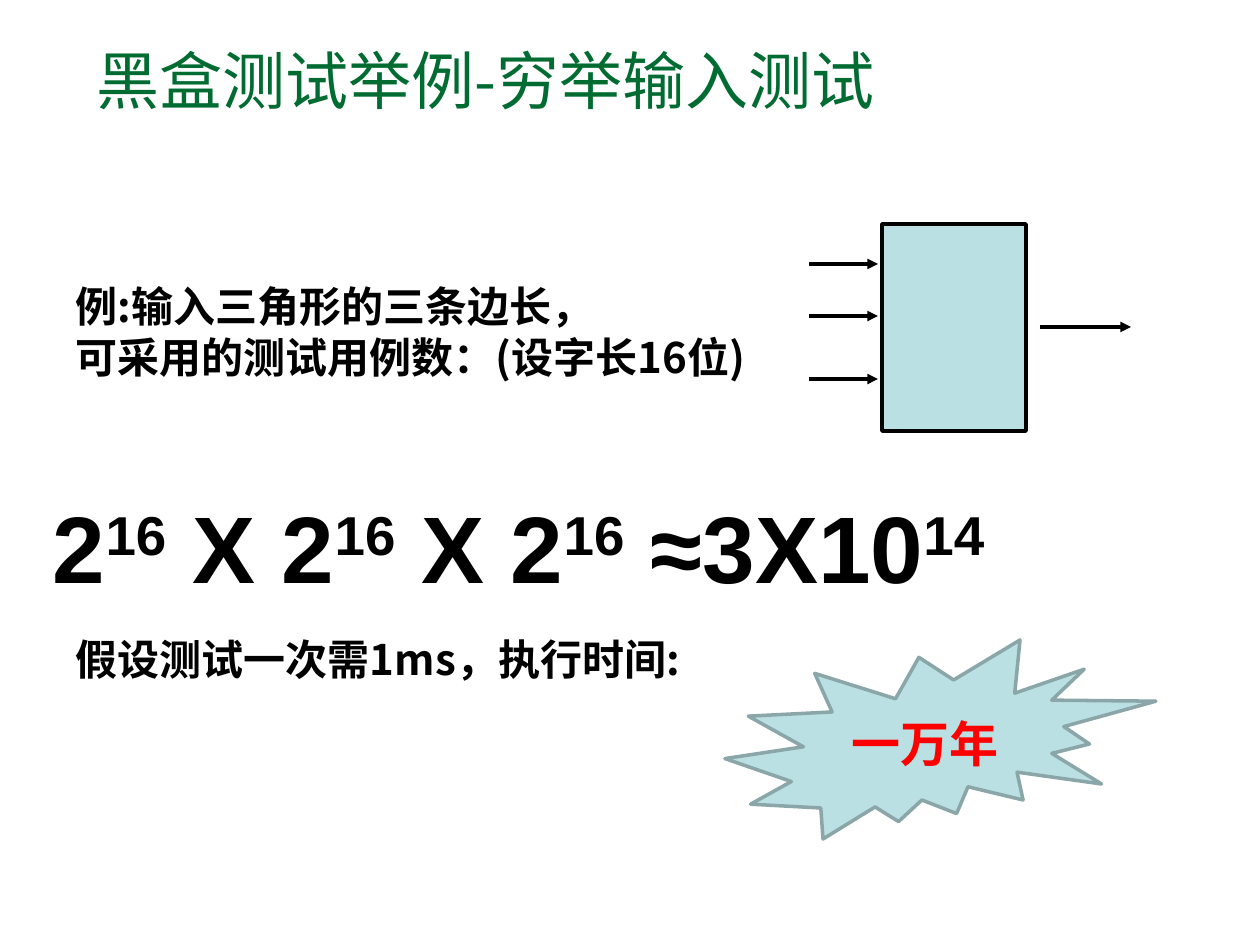
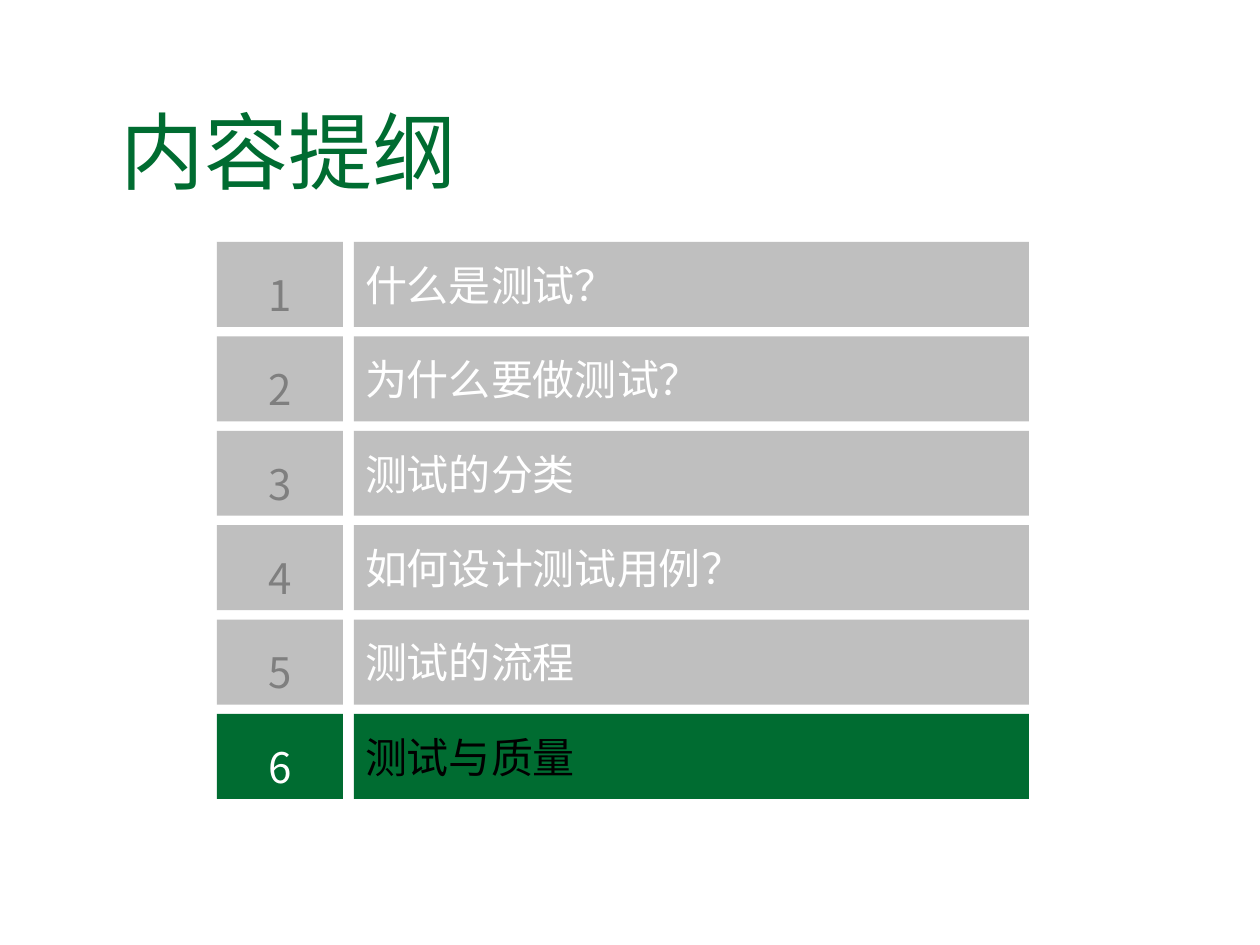
from lxml import etree
from pptx import Presentation
from pptx.dml.color import RGBColor
from pptx.enum.shapes import MSO_CONNECTOR, MSO_SHAPE
from pptx.enum.text import MSO_ANCHOR, PP_ALIGN
from pptx.oxml.ns import qn
from pptx.util import Emu, Pt

RECTANGLE, BURST = MSO_SHAPE.RECTANGLE, MSO_SHAPE.EXPLOSION2
STRAIGHT = MSO_CONNECTOR.STRAIGHT
TOP, MIDDLE = MSO_ANCHOR.TOP, MSO_ANCHOR.MIDDLE
LEFT, CENTER = PP_ALIGN.LEFT, PP_ALIGN.CENTER

PX_PER_INCH = 126
SLIDE_SIZE = (1260, 945)
SANS, SERIF, LATIN = "Noto Sans CJK SC", "Times New Roman", "Arial"
COLORS = {
    "green": "006C31",
    "black": "000000",
    "white": "FFFFFF",
    "red": "FF0000",
    "pale": "BBE0E3",
    "pale_edge": "8AA6A8",
    "bar": "BFBFBF",
    "number": "7F7F7F",
}
TOPICS = ["什么是测试？", "为什么要做测试？", "测试的分类",
          "如何设计测试用例？", "测试的流程", "测试与质量"]


def px(length):
    return Emu(round(length * 914400 / PX_PER_INCH))


def rgb(name):
    return RGBColor.from_string(COLORS[name])


def set_frame(shape, insets=(13, 6, 13, 6), anchor=TOP, wrap=True):
    frame = shape.text_frame
    frame.word_wrap = wrap
    frame.vertical_anchor = anchor
    (frame.margin_left, frame.margin_top,
     frame.margin_right, frame.margin_bottom) = map(px, insets)
    return frame


def add_text(frame, text, size=24, color="black", font=SANS, bold=False,
             align=LEFT, spacing=None, before=None, raised=False, new=True):
    """Add a run, in a new paragraph unless new is False."""
    if new and frame.paragraphs[0].runs:
        para = frame.add_paragraph()
    else:
        para = frame.paragraphs[-1]
    if new:
        para.alignment = align
        para.line_spacing = spacing
        para.space_before = before
    span = para.add_run()
    span.text = text
    span.font.size = Pt(size)
    span.font.bold = bold
    span.font.name = font
    span.font.color.rgb = rgb(color)
    properties = span.font._element
    etree.SubElement(properties, qn("a:ea")).set("typeface", SANS)
    if raised:
        properties.set("baseline", "30000")


def add_box(slide, box, fill, line=None, kind=RECTANGLE):
    shape = slide.shapes.add_shape(kind, *map(px, box))
    shape.shadow.inherit = False
    shape.fill.solid()
    shape.fill.fore_color.rgb = rgb(fill)
    if line:
        shape.line.color.rgb = rgb(line)
        shape.line.width = Pt(2)
    else:
        shape.line.fill.background()
    return shape


def add_text_box(slide, box, **frame_format):
    return set_frame(slide.shapes.add_textbox(*map(px, box)), **frame_format)


def add_arrow(slide, left, right, y):
    arrow = slide.shapes.add_connector(STRAIGHT, px(left), px(y), px(right), px(y))
    arrow.line.color.rgb = rgb("black")
    arrow.line.width = Pt(2)
    tail = etree.SubElement(arrow.line._get_or_add_ln(), qn("a:tailEnd"))
    tail.set("type", "triangle")
    etree.SubElement(arrow._element.spPr, qn("a:effectLst"))


def draw_title(slide, box, runs, size, **frame_format):
    frame = add_text_box(slide, box, **frame_format)
    for index, (text, font) in enumerate(runs):
        add_text(frame, text, size=size, color="green", font=font, new=index == 0)
    return frame


def draw_example(slide, box):
    frame = add_text_box(slide, box, insets=(13, 60, 13, 6))
    line_format = {"bold": True, "spacing": Pt(29)}
    add_text(frame, "例:输入三角形的三条边长，", **line_format)
    add_text(frame, "可采用的测试用例数：(设字长16位)", **line_format)
    add_text(frame, "假设测试一次需1ms，执行时间:", before=Pt(144), **line_format)


def draw_black_box(slide, box):
    left, top, width, height = box
    add_box(slide, box, "pale", "black")
    for offset in (40, 92, 155):
        add_arrow(slide, left - 73, left - 4, top + offset)
    add_arrow(slide, left + width + 14, left + width + 105, top + height // 2)


def draw_formula(slide, box):
    frame = add_text_box(slide, box, wrap=False)
    terms = [("2", "16"), (" X 2", "16"), (" X 2", "16"), (" ≈3X10", "14")]
    for index, (base, power) in enumerate(terms):
        add_text(frame, base, size=54, font=LATIN, bold=True, new=index == 0)
        add_text(frame, power, size=54, font=LATIN, bold=True, raised=True, new=False)


def draw_burst(slide, box):
    burst = add_box(slide, box, "pale", "pale_edge", BURST)
    add_text(set_frame(burst, anchor=MIDDLE), "一万年", size=28, color="red",
             bold=True, align=CENTER)


def draw_agenda(slide, box, topics, current):
    left, top, width, height = box
    bar_height, number_width, gap = 85, 126, 11
    pitch = (height - bar_height) / (len(topics) - 1)
    for index, topic in enumerate(topics):
        active = index == current
        fill = "green" if active else "bar"
        y = top + index * pitch
        topic_left = left + number_width + gap
        cells = [
            (left, number_width, str(index + 1), "white" if active else "number",
             {"align": CENTER, "spacing": 1.4}),
            (topic_left, left + width - topic_left, topic,
             "black" if active else "white", {}),
        ]
        for x, cell_width, text, color, text_format in cells:
            cell = add_box(slide, (x, y, cell_width, bar_height), fill)
            frame = set_frame(cell, insets=(11, 5, 11, 5), anchor=MIDDLE)
            add_text(frame, text, color=color, **text_format)


def build_example_slide(slide):
    draw_title(slide, (84, 32, 987, 94),
               [("黑盒测试举例-", SANS), ("穷举输入测试", SERIF)], 36, anchor=MIDDLE)
    draw_example(slide, (63, 220, 1134, 624))
    draw_black_box(slide, (882, 224, 144, 207))
    draw_formula(slide, (40, 483, 1002, 127))
    draw_burst(slide, (725, 640, 431, 199))


def build_agenda_slide(slide):
    title = draw_title(slide, (95, 53, 388, 134), [("内容提纲", SANS)], 48)
    title.paragraphs[0].alignment = CENTER
    title.paragraphs[0].line_spacing = 1.4
    draw_agenda(slide, (217, 242, 812, 557), TOPICS, current=5)


def main():
    deck = Presentation()
    deck.slide_width, deck.slide_height = map(px, SLIDE_SIZE)
    blank = deck.slide_layouts[6]
    for build in (build_example_slide, build_agenda_slide):
        build(deck.slides.add_slide(blank))
    deck.save("out.pptx")


if __name__ == "__main__":
    main()
